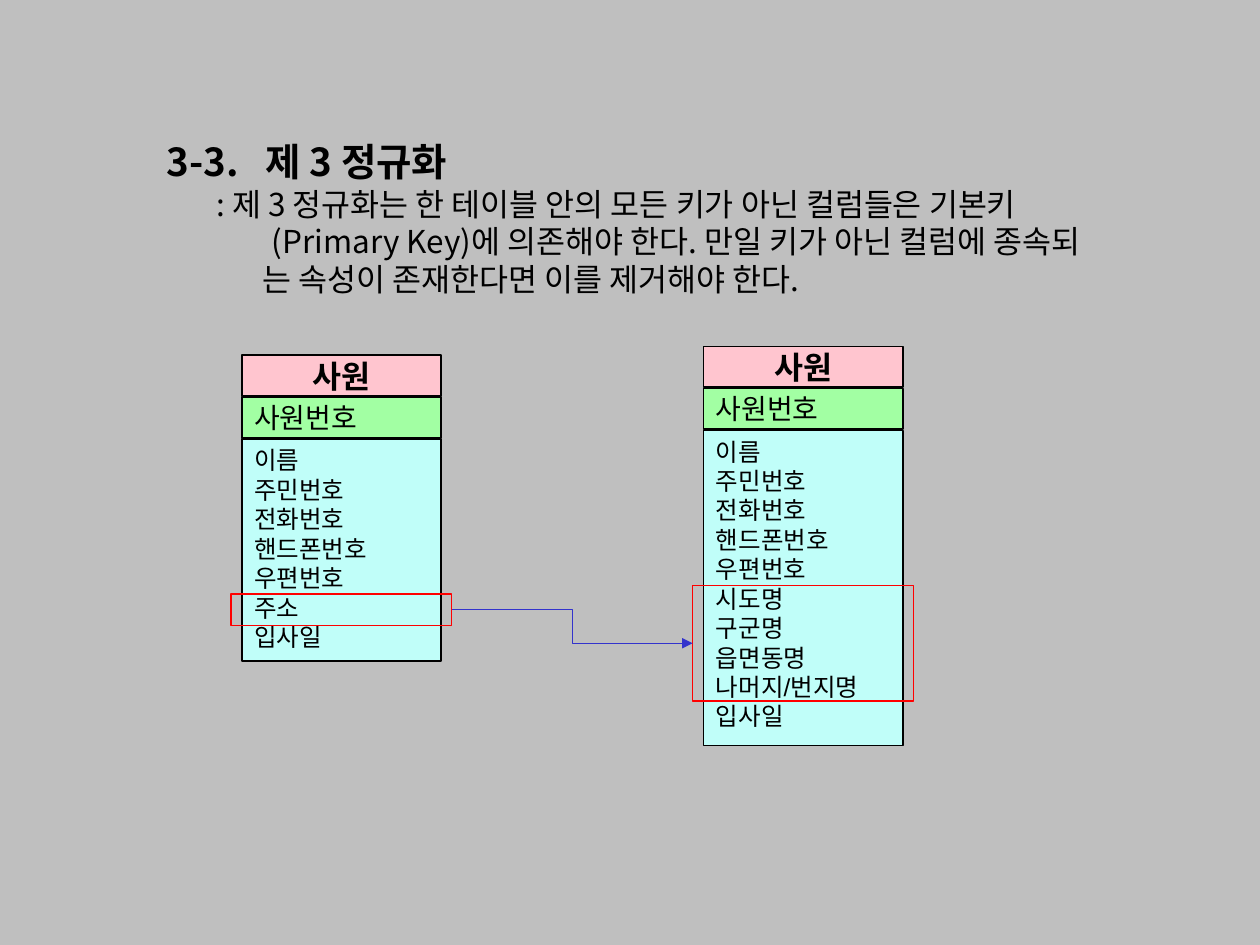
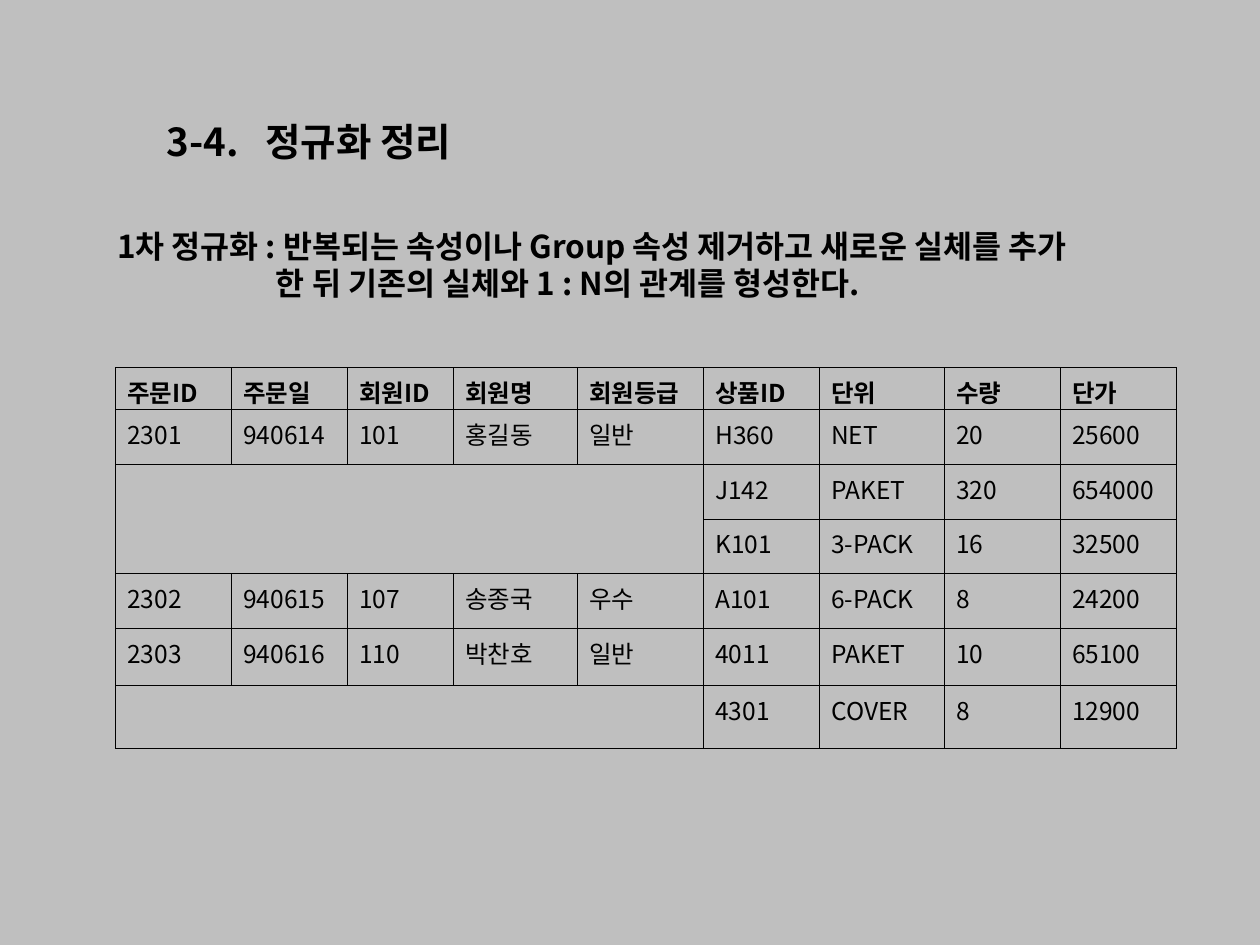
from lxml.etree import SubElement
from pptx import Presentation
from pptx.dml.color import RGBColor
from pptx.enum.shapes import MSO_CONNECTOR as CONN, MSO_SHAPE as SHAPE
from pptx.enum.text import MSO_ANCHOR as ANCHOR, PP_ALIGN as ALIGN
from pptx.oxml.ns import qn
from pptx.util import Pt

# Content
HEAD_3NF = "3-3.\t제 3 정규화"
BODY_3NF = [": 제 3 정규화는 한 테이블 안의 모든 키가 아닌 컬럼들은 기본키",
            "(Primary Key)에 의존해야 한다. 만일 키가 아닌 컬럼에 종속되"]
TAIL_3NF = ["는 속성이 존재한다면 이를 제거해야 한다."]
HEAD_SUMMARY = "3-4.\t정규화 정리"
BODY_1NF = ["1차 정규화 : 반복되는 속성이나 Group 속성 제거하고 새로운 실체를 추가",
            "한 뒤 기존의 실체와 1 : N의 관계를 형성한다."]

COMMON = ["이름", "주민번호", "전화번호", "핸드폰번호", "우편번호"]
BEFORE = dict(left=138.2, top=203, body_h=126.7, mark_h=18,
              fields=COMMON + ["주소", "입사일"])
AFTER = dict(left=402, top=198, body_h=180, mark_h=66.2,
             fields=COMMON + ["시도명", "구군명", "읍면동명", "나머지/번지명", "입사일"])

ORDERS = [
    ["주문ID", "주문일", "회원ID", "회원명", "회원등급", "상품ID", "단위", "수량", "단가"],
    ["2301", "940614", "101", "홍길동", "일반", "H360", "NET", "20", "25600"],
    [""] * 5 + ["J142", "PAKET", "320", "654000"],
    [""] * 5 + ["K101", "3-PACK", "16", "32500"],
    ["2302", "940615", "107", "송종국", "우수", "A101", "6-PACK", "8", "24200"],
    ["2303", "940616", "110", "박찬호", "일반", "4011", "PAKET", "10", "65100"],
    [""] * 5 + ["4301", "COVER", "8", "12900"],
]
COL_W = [66.3, 66.3, 60.6, 70.9, 72, 66.3, 71.4, 66.3, 66.3]
ROW_H = [24] + [31.3] * 4 + [32.6, 36]
EMPTY_BLOCKS = [(2, 3), (6, 6)]  # first and last row, over the first five columns

# Style
C = dict(bg="BFBFBF", ink="000000", name="FFC5CF", key="A2FFA3",
         fields="C0FEF9", mark="FF0000", arrow="3333CC")
KOREAN, LATIN = "Noto Sans CJK KR", "Arial"
ENTITY_W, ENTITY_ROW, ENTITY_PITCH = 113.8, 23.2, 24
FIELD_PITCH, MARK_OUT = 16.8, 6.2


def rgb(key):
    return RGBColor.from_string(C[key])


def add_run(p, text, size, bold=False, font=KOREAN):
    r = p.add_run()
    r.text = text
    r.font.size, r.font.bold, r.font.name = Pt(size), bold, font
    r.font.color.rgb = rgb("ink")
    SubElement(r.font._element, qn("a:ea"), typeface=KOREAN)


def next_par(tf):
    p = tf.paragraphs[0]
    return tf.add_paragraph() if p.runs else p


def add_par(tf, lines, size, bold=False, first=0, left=0):
    """Paragraph whose first line starts at first and the others at left."""
    p = next_par(tf)
    pPr = p._p.get_or_add_pPr()
    pPr.set("marL", str(int(Pt(left))))
    pPr.set("indent", str(int(Pt(first - left))))
    for i, line in enumerate(lines):
        if i:
            p.add_line_break()
        add_run(p, line, size, bold)


def add_text(s, x, y, w, h):
    tf = s.shapes.add_textbox(Pt(x), Pt(y), Pt(w), Pt(h)).text_frame
    tf.word_wrap = True
    return tf


def add_heading(s, y, h, text):
    tf = add_text(s, 67.7, y, 616.3, h)
    add_par(tf, [text], 22, True, first=20.5, left=77)
    return tf


def add_slide(prs):
    s = prs.slides.add_slide(prs.slide_layouts[6])
    s.background.fill.solid()
    s.background.fill.fore_color.rgb = rgb("bg")
    return s


def add_rect(s, x, y, w, h, fill=None, line="ink", width=1):
    sp = s.shapes.add_shape(SHAPE.RECTANGLE, Pt(x), Pt(y), Pt(w), Pt(h))
    sp.shadow.inherit = False
    if fill:
        sp.fill.solid()
        sp.fill.fore_color.rgb = rgb(fill)
    else:
        sp.fill.background()
    sp.line.color.rgb, sp.line.width = rgb(line), Pt(width)
    return sp


def add_entity(s, left, top, body_h, fields, mark_h):
    parts = [("name", ["사원"], 18, ENTITY_ROW), ("key", ["사원번호"], 16, ENTITY_ROW),
             ("fields", fields, 14, body_h)]
    for i, (part, texts, size, h) in enumerate(parts):
        sp = add_rect(s, left, top + i * ENTITY_PITCH, ENTITY_W, h, part)
        tf = sp.text_frame
        tf.word_wrap = False
        tf.vertical_anchor = ANCHOR.TOP if part == "fields" else ANCHOR.MIDDLE
        for text in texts:
            p = next_par(tf)
            p.alignment = ALIGN.CENTER if part == "name" else ALIGN.LEFT
            add_run(p, text, size, part == "name", LATIN)


def add_mark(s, left, top, mark_h, **_):
    """Frame around the fields that follow the common ones."""
    y = top + 2 * ENTITY_PITCH + 4.5 + len(COMMON) * FIELD_PITCH
    return add_rect(s, left - MARK_OUT, y, ENTITY_W + 2 * MARK_OUT, mark_h,
                    line="mark", width=0.75)


def add_arrow(s, start, end):
    cn = s.shapes.add_connector(CONN.ELBOW, 0, 0, 0, 0)
    cn.begin_connect(start, 3)
    cn.end_connect(end, 1)
    cn.line.color.rgb, cn.line.width = rgb("arrow"), Pt(0.75)
    SubElement(cn.line._get_or_add_ln(), qn("a:tailEnd"), type="triangle")
    SubElement(cn._element.spPr, qn("a:effectLst"))


def add_borders(cell):
    tcPr = cell._tc.get_or_add_tcPr()
    for i, side in enumerate(("lnL", "lnR", "lnT", "lnB")):
        ln = SubElement(tcPr, qn("a:" + side), w=str(int(Pt(0.45))))
        fill = SubElement(ln, qn("a:solidFill"))
        SubElement(fill, qn("a:srgbClr"), val=C["ink"])
        tcPr.insert(i, ln)


def add_orders(s):
    tbl = s.shapes.add_table(len(ROW_H), len(COL_W), Pt(66), Pt(210),
                             Pt(sum(COL_W)), Pt(sum(ROW_H))).table
    tbl.horz_banding = tbl.first_row = False
    for col, w in zip(tbl.columns, COL_W):
        col.width = Pt(w)
    for i, (row, h) in enumerate(zip(tbl.rows, ROW_H)):
        row.height = Pt(h)
        for cell, text in zip(row.cells, ORDERS[i]):
            cell.margin_left = Pt(6.7)
            cell.margin_top = cell.margin_bottom = Pt(3.6)
            cell.fill.background()
            add_borders(cell)
            if text:
                add_run(cell.text_frame.paragraphs[0], text, 14, i == 0)
    for top, bottom in EMPTY_BLOCKS:
        tbl.cell(top, 0).merge(tbl.cell(bottom, 4))


def main():
    prs = Presentation()
    prs.slide_width, prs.slide_height = Pt(720), Pt(540)

    # Third normal form
    s = add_slide(prs)
    tf = add_heading(s, 75.6, 98.6, HEAD_3NF)
    add_par(tf, BODY_3NF, 18, first=49, left=80.5)
    add_par(tf, TAIL_3NF, 18, first=75.4, left=75.4)
    for entity in (BEFORE, AFTER):
        add_entity(s, **entity)
    add_arrow(s, add_mark(s, **BEFORE), add_mark(s, **AFTER))

    # Summary of first normal form
    s = add_slide(prs)
    add_heading(s, 64, 55.4, HEAD_SUMMARY)
    add_orders(s)
    tf = add_text(s, 59.8, 126, 617.8, 50.4)
    add_par(tf, BODY_1NF, 18, True, left=90.8)

    prs.save("out.pptx")


if __name__ == "__main__":
    main()
